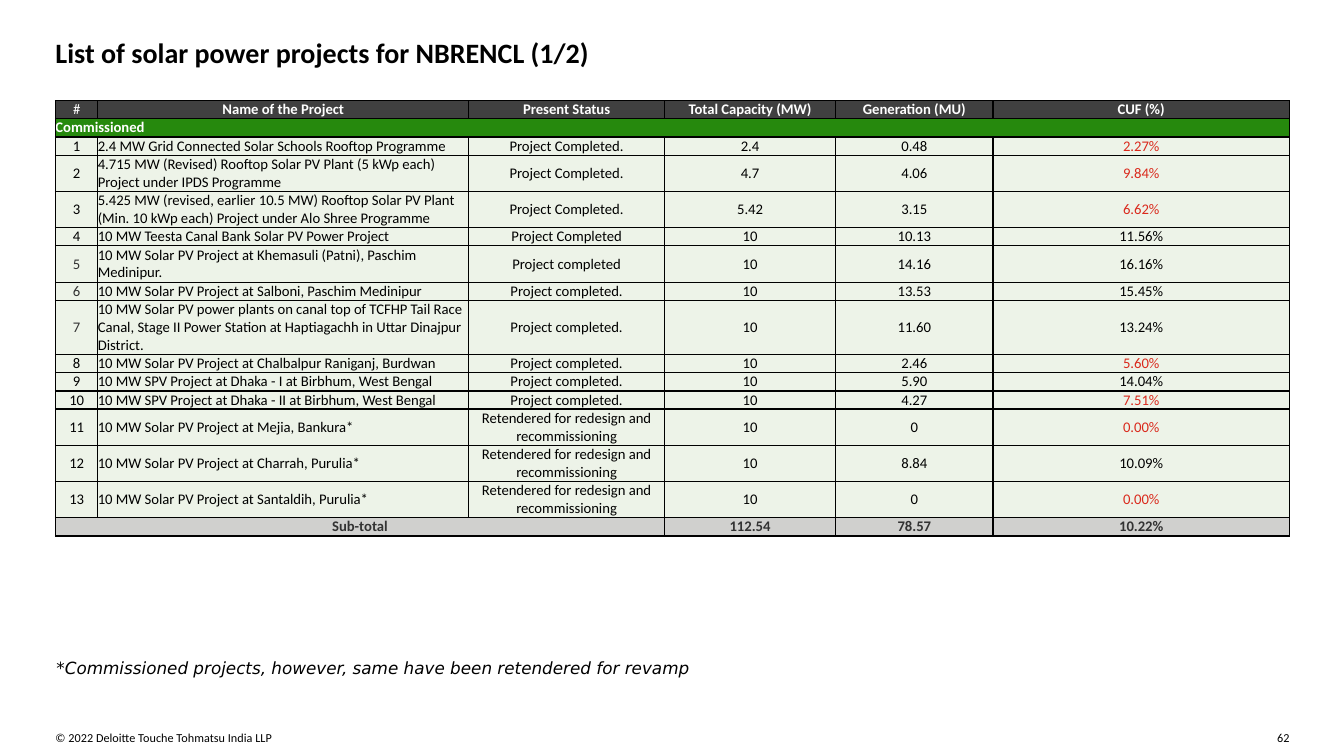
import dataclasses
import typing

import pptx
import pptx.dml.color
import pptx.enum.text
import pptx.oxml
import pptx.oxml.ns
import pptx.util

ALIGN = pptx.enum.text.PP_ALIGN
ANCHOR = pptx.enum.text.MSO_ANCHOR
BLACK, GREY, WHITE, RED = "000000", "333333", "FFFFFF", "DA291C"
DARK, GREEN, PALE, SILVER = "404040", "26890D", "EDF3E8", "D0D0CE"
WIDE, HIGH = pptx.util.Inches(13.33), pptx.util.Inches(7.5)
LEFT, SPAN, TOP, LINE = 4.13, 91.82, 13.33, 2.4
COLS = (3.15, 27.61, 14.55, 12.75, 11.7, 22.06)
HEADS = ("#", "Name of the Project", "Present Status",
         "Total Capacity (MW)", "Generation (MU)", "CUF (%)")
SUMS = ("Sub-total", "", "", "112.54", "78.57", "10.22%")
LOW = 10
DONE = "Project completed."
AGAIN = "Retendered for redesign and recommissioning"


@dataclasses.dataclass(frozen=True)
class Plant:
    name: str
    state: str
    power: str
    yearly: str
    factor: str
    lines: int = 1
    ink: str = BLACK


@dataclasses.dataclass(frozen=True)
class Label:
    text: str
    x: float
    y: float
    w: float
    h: float
    size: float
    align: typing.Any = ALIGN.LEFT
    face: str = "Calibri"
    inset: float = 0
    anchor: typing.Any = ANCHOR.TOP
    bold: bool = False
    slant: bool = False


PLANTS = (
    Plant("2.4 MW Grid Connected Solar Schools Rooftop Programme",
          "Project Completed.", "2.4", "0.48", "2.27%"),
    Plant("4.715 MW (Revised) Rooftop Solar PV Plant (5 kWp each) Project under IPDS Programme",
          "Project Completed.", "4.7", "4.06", "9.84%", 2),
    Plant("5.425 MW (revised, earlier 10.5 MW) Rooftop Solar PV Plant "
          "(Min. 10 kWp each) Project under Alo Shree Programme",
          "Project Completed.", "5.42", "3.15", "6.62%", 2),
    Plant("10 MW Teesta Canal Bank Solar PV Power Project",
          "Project Completed", "10", "10.13", "11.56%"),
    Plant("10 MW Solar PV Project at Khemasuli (Patni), Paschim Medinipur.",
          "Project completed", "10", "14.16", "16.16%", 2, GREY),
    Plant("10 MW Solar PV Project at Salboni, Paschim Medinipur",
          DONE, "10", "13.53", "15.45%", 1, GREY),
    Plant("10 MW Solar PV power plants on canal top of TCFHP Tail Race Canal, "
          "Stage II Power Station at Haptiagachh in Uttar Dinajpur District.",
          DONE, "10", "11.60", "13.24%", 3, GREY),
    Plant("10 MW Solar PV Project at Chalbalpur Raniganj, Burdwan", DONE, "10", "2.46", "5.60%"),
    Plant("10 MW SPV Project at Dhaka - I at Birbhum, West Bengal", DONE, "10", "5.90", "14.04%"),
    Plant("10 MW SPV Project at Dhaka - II at Birbhum, West Bengal", DONE, "10", "4.27", "7.51%"),
    Plant("10 MW Solar PV Project at Mejia, Bankura*", AGAIN, "10", "0", "0.00%", 2),
    Plant("10 MW Solar PV Project at Charrah, Purulia*", AGAIN, "10", "8.84", "10.09%", 2),
    Plant("10 MW Solar PV Project at Santaldih, Purulia*", AGAIN, "10", "0", "0.00%", 2),
)
LABELS = (
    Label("© 2022 Deloitte Touche Tohmatsu India LLP", LEFT, 96.67, 43.96, 2.93, 8.7),
    Label("62", 93.4, 96.67, 2.55, 1.47, 8.7, ALIGN.RIGHT),
    Label("List of solar power projects for NBRENCL (1/2)", LEFT, 4.67, SPAN, 5.33, 20,
          ALIGN.JUSTIFY, bold=True),
    Label("*Commissioned projects, however, same have been retendered for revamp",
          3.6, 86.67, 88.75, 3.33, 12, ALIGN.JUSTIFY, "DejaVu Sans", 0.6,
          ANCHOR.MIDDLE, slant=True),
)


def across(share: float) -> int:
    return round(WIDE * share / 100)


def down(share: float) -> int:
    return round(HIGH * share / 100)


def tint(code: str) -> pptx.dml.color.RGBColor:
    return pptx.dml.color.RGBColor.from_string(code)


def apply(thing: typing.Any, form: dict[str, typing.Any]) -> None:
    for key, value in form.items():
        setattr(thing, key, value)


def write(frame: typing.Any, text: str, align: typing.Any, ink: str,
          form: dict[str, typing.Any]) -> None:
    para = frame.paragraphs[0]
    para.alignment = align
    run = para.add_run()
    run.text = text
    apply(run.font, form)
    run.font.color.rgb = tint(ink)


def draw(slide: typing.Any, label: Label) -> None:
    box = slide.shapes.add_textbox(across(label.x), down(label.y),
                                   across(label.w), down(label.h))
    pad = across(label.inset)
    apply(box.text_frame, {
        "word_wrap": True, "vertical_anchor": label.anchor,
        "margin_left": pad, "margin_right": pad, "margin_top": pad, "margin_bottom": pad})
    write(box.text_frame, label.text, label.align, BLACK, {
        "name": label.face, "size": pptx.util.Pt(label.size),
        "bold": label.bold, "italic": label.slant})


def border(cell: typing.Any) -> None:
    props = cell._tc.get_or_add_tcPr()
    for side in "LRTB":
        props.append(pptx.oxml.parse_xml(
            f'<a:ln{side} {pptx.oxml.ns.nsdecls("a")} w="12700"><a:solidFill>'
            f'<a:srgbClr val="{BLACK}"/></a:solidFill></a:ln{side}>'))


def paint(cell: typing.Any, text: str, fill: str, ink: str, bold: bool, align: typing.Any) -> None:
    apply(cell, {"margin_left": 0, "margin_right": 0, "margin_top": 0, "margin_bottom": 0,
                 "vertical_anchor": ANCHOR.MIDDLE})
    border(cell)
    cell.fill.solid()
    cell.fill.fore_color.rgb = tint(fill)
    write(cell.text_frame, text, align, ink,
          {"name": "Calibri", "size": pptx.util.Pt(10.5), "bold": bold})


def fill_row(grid: typing.Any, row: int, texts: typing.Sequence[str], fill: str,
             inks: typing.Sequence[str], bolds: typing.Sequence[bool], left: int = -1) -> None:
    for col, text in enumerate(texts):
        cell = grid.cell(row, col)
        if not cell.is_spanned:
            align = ALIGN.LEFT if col == left else ALIGN.CENTER
            paint(cell, text, fill, inks[col], bolds[col], align)


def tabulate(slide: typing.Any) -> None:
    lines = [1, 1, *(plant.lines for plant in PLANTS), 1]
    count, last = len(COLS), len(lines) - 1
    grid = slide.shapes.add_table(len(lines), count, across(LEFT), down(TOP),
                                  across(SPAN), down(LINE * sum(lines))).table
    apply(grid, {"first_row": False, "horz_banding": False})
    for col, share in zip(grid.columns, COLS):
        col.width = across(share)
    for row, tall in zip(grid.rows, lines):
        row.height = down(LINE * tall)
    grid.cell(1, 0).merge(grid.cell(1, count - 1))
    grid.cell(last, 0).merge(grid.cell(last, 2))
    fill_row(grid, 0, HEADS, DARK, [WHITE] * count, [False] + [True] * (count - 1))
    fill_row(grid, 1, ["Commissioned"], GREEN, [WHITE], [True], 0)
    for rank, plant in enumerate(PLANTS, 1):
        texts = (str(rank), plant.name, plant.state, plant.power, plant.yearly, plant.factor)
        mark = RED if float(plant.factor.rstrip("%")) < LOW else BLACK
        fill_row(grid, rank + 1, texts, PALE, [plant.ink] + [BLACK] * 4 + [mark],
                 [False] * count, 1)
    fill_row(grid, last, SUMS, SILVER, [GREY] * count, [True] * count)


def main() -> None:
    deck = pptx.Presentation()
    apply(deck, {"slide_width": WIDE, "slide_height": HIGH})
    slide = deck.slides.add_slide(deck.slide_layouts[6])
    for label in LABELS:
        draw(slide, label)
    tabulate(slide)
    deck.save("out.pptx")


if __name__ == "__main__":
    main()
